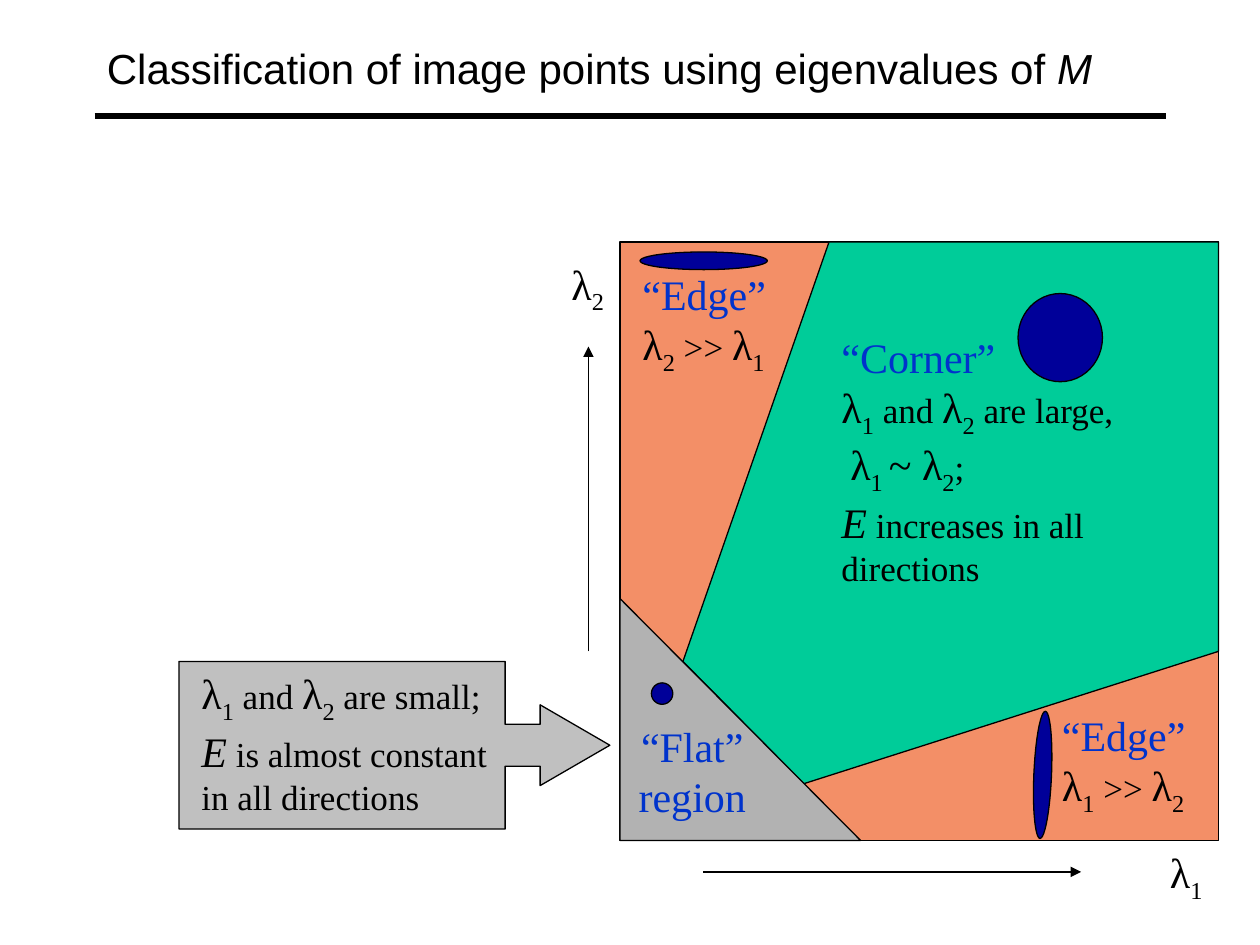
from dataclasses import dataclass
from typing import NamedTuple, Optional

from pptx import Presentation
from pptx.dml.color import RGBColor
from pptx.enum.shapes import MSO_CONNECTOR, MSO_SHAPE
from pptx.enum.text import MSO_ANCHOR, PP_ALIGN
from pptx.oxml.ns import qn
from pptx.util import Inches, Pt
from lxml.etree import SubElement


@dataclass(frozen=True)
class Theme:
    ink: str = "000000"
    heading: str = "0033CC"
    edge: str = "F38F67"
    corner: str = "00CC99"
    flat: str = "B2B2B2"
    callout: str = "C0C0C0"
    marker: str = "000099"
    title_font: str = "Arial"
    body_font: str = "Times New Roman"
    large: float = 24
    small: float = 20
    outline: float = 0.75
    rule: float = 3


THEME = Theme()


class Box(NamedTuple):
    left: float
    top: float
    width: float
    height: float

    def lengths(self) -> list:
        return [Inches(value) for value in self]


class Run(NamedTuple):
    text: str
    size: float = THEME.large
    color: str = THEME.ink
    italic: bool = False
    subscript: bool = False


class Region(NamedTuple):
    preset: MSO_SHAPE
    box: Box
    fill: str
    rotation: float = 0


class Arrow(NamedTuple):
    start: tuple
    end: tuple


def eigenvalue(index: str) -> list[Run]:
    return [Run("λ"), Run(index, subscript=True)]


def small(text: str) -> Run:
    return Run(text, size=THEME.small)


def heading(text: str) -> Run:
    return Run(text, color=THEME.heading)


def add_text(slide, box: Box, lines: list[list[Run]], *, font: str = THEME.body_font,
             align=PP_ALIGN.LEFT, anchor=MSO_ANCHOR.TOP) -> None:
    """Write the lines as one paragraph, parted by line breaks."""
    frame = slide.shapes.add_textbox(*box.lengths()).text_frame
    frame.word_wrap = True
    frame.vertical_anchor = anchor
    paragraph = frame.paragraphs[0]
    paragraph.alignment = align
    for number, line in enumerate(lines):
        if number:
            paragraph.add_line_break()
        for part in line:
            run = paragraph.add_run()
            run.text = part.text
            run.font.name = font
            run.font.size = Pt(part.size)
            run.font.italic = part.italic
            run.font.color.rgb = RGBColor.from_string(part.color)
            if part.subscript:
                run.font._element.set("baseline", "-25000")


def paint(shape, fill: str) -> None:
    shape.shadow.inherit = False
    shape.fill.solid()
    shape.fill.fore_color.rgb = RGBColor.from_string(fill)
    shape.line.color.rgb = RGBColor.from_string(THEME.ink)
    shape.line.width = Pt(THEME.outline)


def add_region(slide, region: Region):
    shape = slide.shapes.add_shape(region.preset, *region.box.lengths())
    shape.rotation = region.rotation
    paint(shape, region.fill)
    return shape


def add_polygon(slide, points: list[tuple], fill: str) -> None:
    corners = [(Inches(x), Inches(y)) for x, y in points]
    builder = slide.shapes.build_freeform(*corners[0])
    builder.add_line_segments(corners[1:], close=True)
    paint(builder.convert_to_shape(), fill)


def add_line(slide, arrow: Arrow, *, width: float = THEME.outline,
             head: Optional[str] = None) -> None:
    ends = [Inches(value) for value in arrow.start + arrow.end]
    connector = slide.shapes.add_connector(MSO_CONNECTOR.STRAIGHT, *ends)
    connector.line.color.rgb = RGBColor.from_string(THEME.ink)
    connector.line.width = Pt(width)
    if head:
        SubElement(connector.line._get_or_add_ln(), qn("a:tailEnd"), type=head)
    SubElement(connector._element.spPr, qn("a:effectLst"))


CALLOUT = Region(MSO_SHAPE.RIGHT_ARROW_CALLOUT, Box(1.42, 5.25, 3.42, 1.33), THEME.callout)
CALLOUT_PROPORTIONS = (0.25, 0.241, 0.416, 0.757)
EDGE_REGION = Region(MSO_SHAPE.RECTANGLE, Box(4.92, 1.92, 4.75, 4.75), THEME.edge)
CORNER_OUTLINE = [(5.42, 5.25), (6.58, 1.92), (9.67, 1.92), (9.67, 5.17), (6.38, 6.22)]
FLAT_REGION = Region(MSO_SHAPE.RIGHT_TRIANGLE, Box(4.92, 4.75, 1.91, 1.92), THEME.flat)
MARKERS = [
    Region(MSO_SHAPE.OVAL, Box(8.08, 2.33, 0.67, 0.7), THEME.marker),
    Region(MSO_SHAPE.OVAL, Box(5.08, 2, 1.01, 0.14), THEME.marker),
    Region(MSO_SHAPE.OVAL, Box(5.17, 5.42, 0.17, 0.17), THEME.marker),
    Region(MSO_SHAPE.OVAL, Box(7.77, 6.08, 1.01, 0.14), THEME.marker, 92.4),
]
AXIS_LABELS = {"1": Box(9, 6.67, 0.83, 0.5), "2": Box(4.08, 2, 1.17, 0.5)}
AXES = [Arrow((5.58, 6.92), (8.58, 6.92)), Arrow((4.67, 5.17), (4.67, 2.75))]
EDGE_NOTES = [("1", "2", Box(8.33, 5.58, 1.42, 0.9)), ("2", "1", Box(5, 2.08, 1.42, 0.9))]


def main() -> None:
    deck = Presentation()
    deck.slide_width, deck.slide_height = Inches(10), Inches(7.5)
    slide = deck.slides.add_slide(deck.slide_layouts[6])

    add_line(slide, Arrow((0.75, 0.92), (9.25, 0.92)), width=THEME.rule)
    add_text(slide, Box(0.75, 0.08, 8.5, 0.92),
             [[Run("Classification of image points using eigenvalues of "),
               Run("M", italic=True)]],
             font=THEME.title_font, anchor=MSO_ANCHOR.MIDDLE)

    callout = add_region(slide, CALLOUT)
    for index, proportion in enumerate(CALLOUT_PROPORTIONS):
        callout.adjustments[index] = proportion
    add_region(slide, EDGE_REGION)
    add_polygon(slide, CORNER_OUTLINE, THEME.corner)
    add_region(slide, FLAT_REGION)

    for index, box in AXIS_LABELS.items():
        add_text(slide, box, [eigenvalue(index)], align=PP_ALIGN.CENTER)

    both = [*eigenvalue("1"), small(" and "), *eigenvalue("2")]
    energy = Run("E", italic=True)
    add_text(slide, Box(6.58, 2.58, 2.92, 2.03), [
        [heading("“Corner”")],
        [*both, small(" are large,")],
        [small(" "), *eigenvalue("1 "), Run("~ "), *eigenvalue("2"), small(";")],
        [energy, small(" increases in all directions")],
    ])
    add_text(slide, Box(1.5, 5.25, 2.58, 1.23), [
        [*both, small(" are small;")],
        [energy, small(" is almost constant in all directions")],
    ])
    for larger, smaller, box in EDGE_NOTES:
        add_text(slide, box, [
            [heading("“Edge”")],
            [*eigenvalue(larger), small(" >> "), *eigenvalue(smaller)],
        ])
    add_text(slide, Box(4.83, 5.67, 1.33, 0.9), [[heading("“Flat” region")]],
             align=PP_ALIGN.CENTER)

    for marker in MARKERS:
        add_region(slide, marker)
    for axis in AXES:
        add_line(slide, axis, head="triangle")

    deck.save("out.pptx")


if __name__ == "__main__":
    main()
